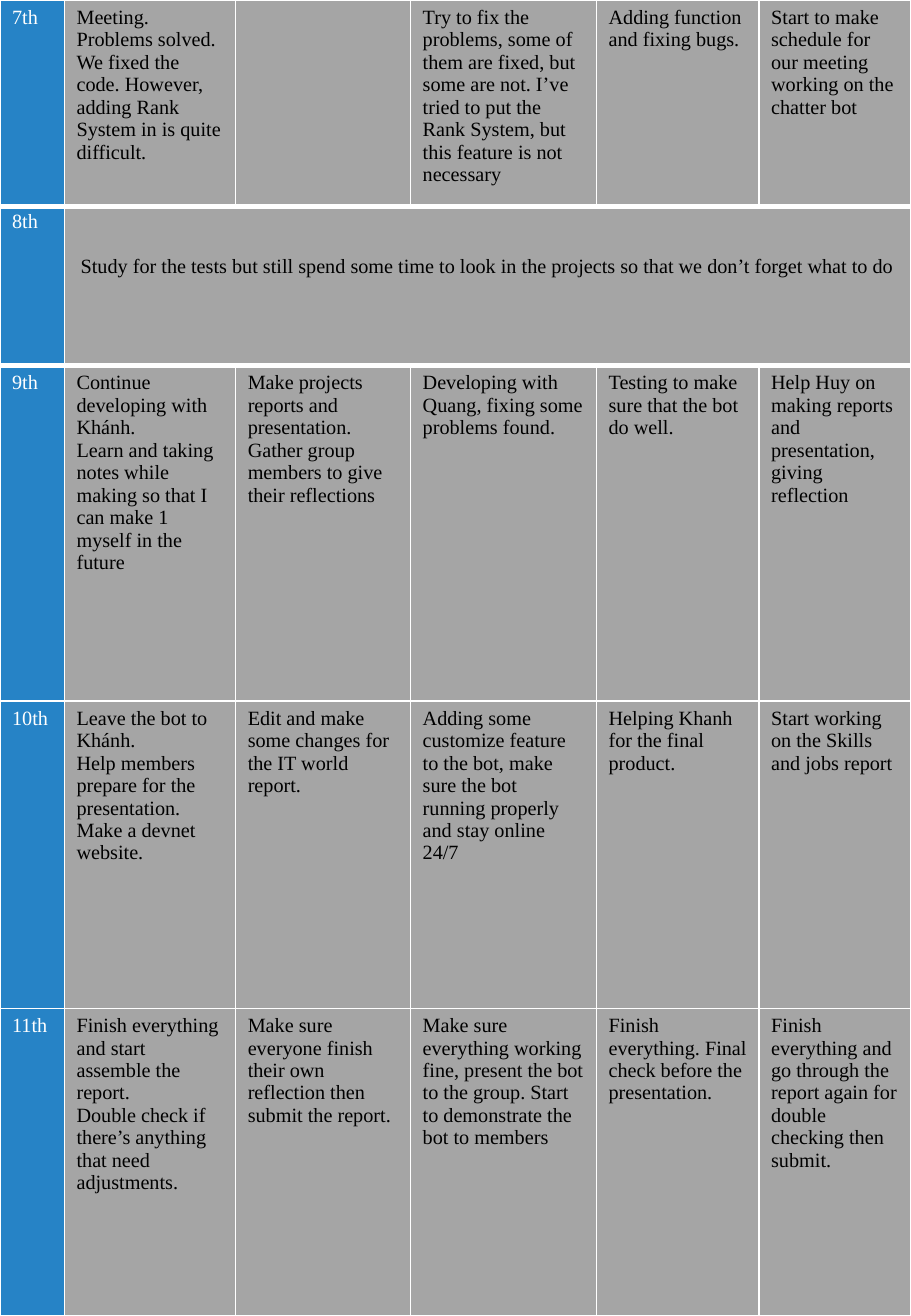
from lxml.etree import SubElement
from pptx import Presentation
from pptx.dml.color import RGBColor
from pptx.enum.text import PP_ALIGN
from pptx.oxml.ns import qn
from pptx.util import Pt

# Content: (row height, day, one list of paragraphs per member)
SEVENTH_DAY = [
    (122.4, "7th", [
        ["Meeting.", "Problems solved.",
         "We fixed the code. However, adding Rank System in is quite difficult."],
        [],
        ["Try to fix the problems, some of them are fixed, but some are not. "
         "I’ve tried to put the Rank System, but this feature is not necessary"],
        ["Adding function and fixing bugs."],
        ["Start to make schedule for our meeting working on the chatter bot"],
    ]),
]
LATER_DAYS = [
    (95.8, "8th", [
        ["Study for the tests but still spend some time to look in the projects "
         "so that we don’t forget what to do"],
    ]),
    (198.7, "9th", [
        ["Continue developing with Khánh.",
         "Learn and taking notes while making so that I can make 1 myself in the future"],
        ["Make projects reports and presentation. Gather group members to give their reflections"],
        ["Developing with Quang, fixing some problems found."],
        ["Testing to make sure that the bot do well."],
        ["Help Huy on making reports and presentation, giving reflection"],
    ]),
    (182.2, "10th", [
        ["Leave the bot to Khánh.", "Help members prepare for the presentation.",
         "Make a devnet website."],
        ["Edit and make some changes for the IT world report."],
        ["Adding some customize feature to the bot, make sure the bot running properly "
         "and stay online 24/7"],
        ["Helping Khanh for the final product."],
        ["Start working on the Skills and jobs report"],
    ]),
    (182.2, "11th", [
        ["Finish everything and start assemble the report.",
         "Double check if there’s anything that need adjustments."],
        ["Make sure everyone finish their own reflection then submit the report."],
        ["Make sure everything working fine, present the bot to the group. "
         "Start to demonstrate the bot to members"],
        ["Finish everything. Final check before the presentation."],
        ["Finish everything and go through the report again for double checking then submit."],
    ]),
]

COLORS = {"day": "2683C6", "task": "A5A5A5", "line": "FFFFFF",
          "day_text": "FFFFFF", "task_text": "000000"}
FONT, FONT_SIZE = "Times New Roman", 12
COLUMN_WIDTHS = [38.2, 101.5, 103.7, 110.2, 96.4, 90]
SLIDE_WIDTH, SLIDE_HEIGHT = 540, 779.8
THIN, THICK = 1, 3
SHARED_TASK_TOP = 30.6


def style_cell(cell, fill, top, bottom):
    properties = cell._tc.get_or_add_tcPr()
    for side, width in (("L", THIN), ("R", THIN), ("T", top), ("B", bottom)):
        line = SubElement(properties, qn(f"a:ln{side}"), w=str(Pt(width)))
        solid = SubElement(line, qn("a:solidFill"))
        SubElement(solid, qn("a:srgbClr"), val=COLORS["line"])
    cell.fill.solid()
    cell.fill.fore_color.rgb = RGBColor.from_string(COLORS[fill])


def write_cell(cell, texts, color, alignment):
    for index, text in enumerate(texts):
        frame = cell.text_frame
        paragraph = frame.add_paragraph() if index else frame.paragraphs[0]
        paragraph.alignment = alignment
        run = paragraph.add_run()
        run.text = text
        run.font.name = FONT
        run.font.size = Pt(FONT_SIZE)
        run.font.color.rgb = RGBColor.from_string(COLORS[color])


def add_schedule(slide, top, days):
    height = sum(day[0] for day in days)
    table = slide.shapes.add_table(len(days), len(COLUMN_WIDTHS), 0, Pt(top),
                                   Pt(SLIDE_WIDTH), Pt(height)).table
    table.first_row = table.horz_banding = False
    for column, width in zip(table.columns, COLUMN_WIDTHS):
        column.width = Pt(width)

    upper = THIN
    for row_index, (row_height, day, tasks) in enumerate(days):
        table.rows[row_index].height = Pt(row_height)
        lower = THICK if row_index == 0 else THIN
        cells = [table.cell(row_index, index) for index in range(len(COLUMN_WIDTHS))]
        for index, cell in enumerate(cells):
            style_cell(cell, "task" if index else "day", upper, lower)
        upper = lower

        # A single task is shared by all members
        shared = len(tasks) == 1
        if shared:
            cells[1].merge(cells[-1])
            cells[1].margin_top = Pt(SHARED_TASK_TOP)
        write_cell(cells[0], [day], "day_text", PP_ALIGN.LEFT)
        for cell, texts in zip(cells[1:], tasks):
            write_cell(cell, texts, "task_text",
                       PP_ALIGN.CENTER if shared else PP_ALIGN.LEFT)


presentation = Presentation()
presentation.slide_width = Pt(SLIDE_WIDTH)
presentation.slide_height = Pt(SLIDE_HEIGHT)
slide = presentation.slides.add_slide(presentation.slide_layouts[6])

# The first day overlaps the later ones slightly, so it goes on top
add_schedule(slide, 120.9, LATER_DAYS)
add_schedule(slide, 0, SEVENTH_DAY)

presentation.save("out.pptx")
